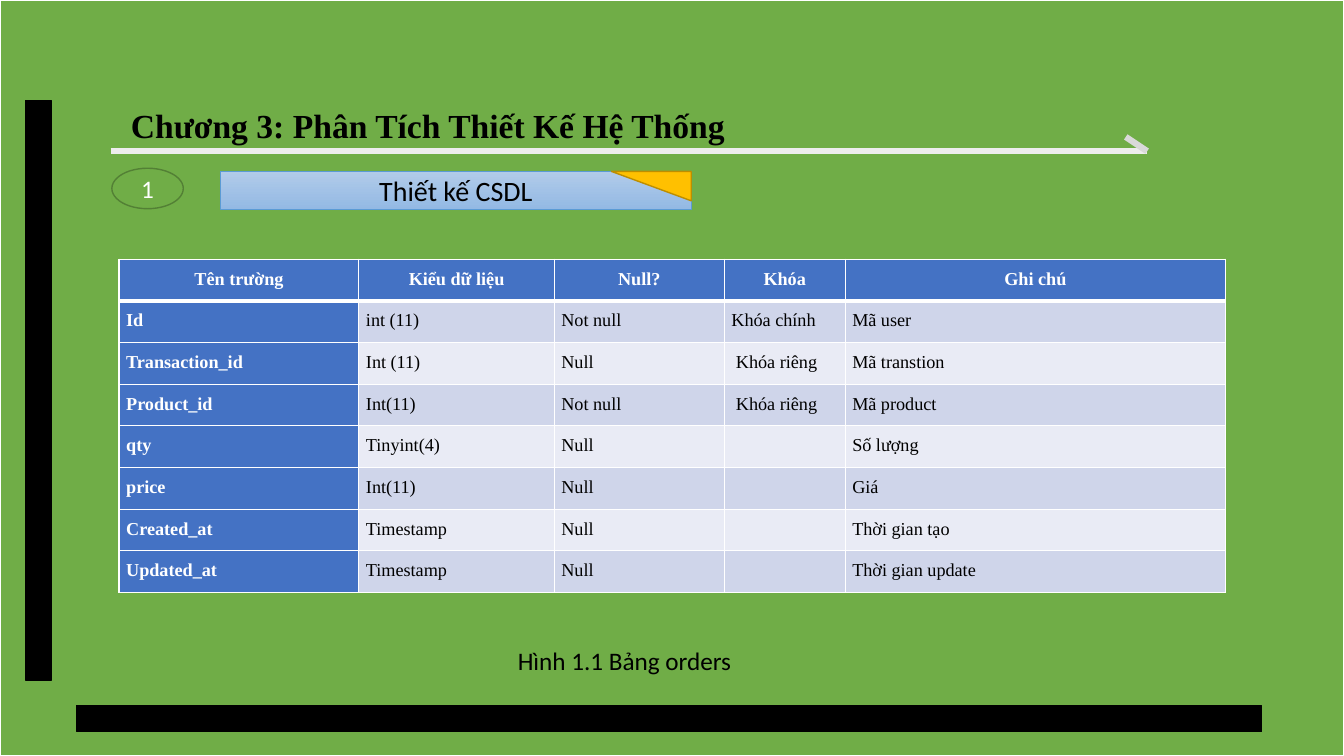
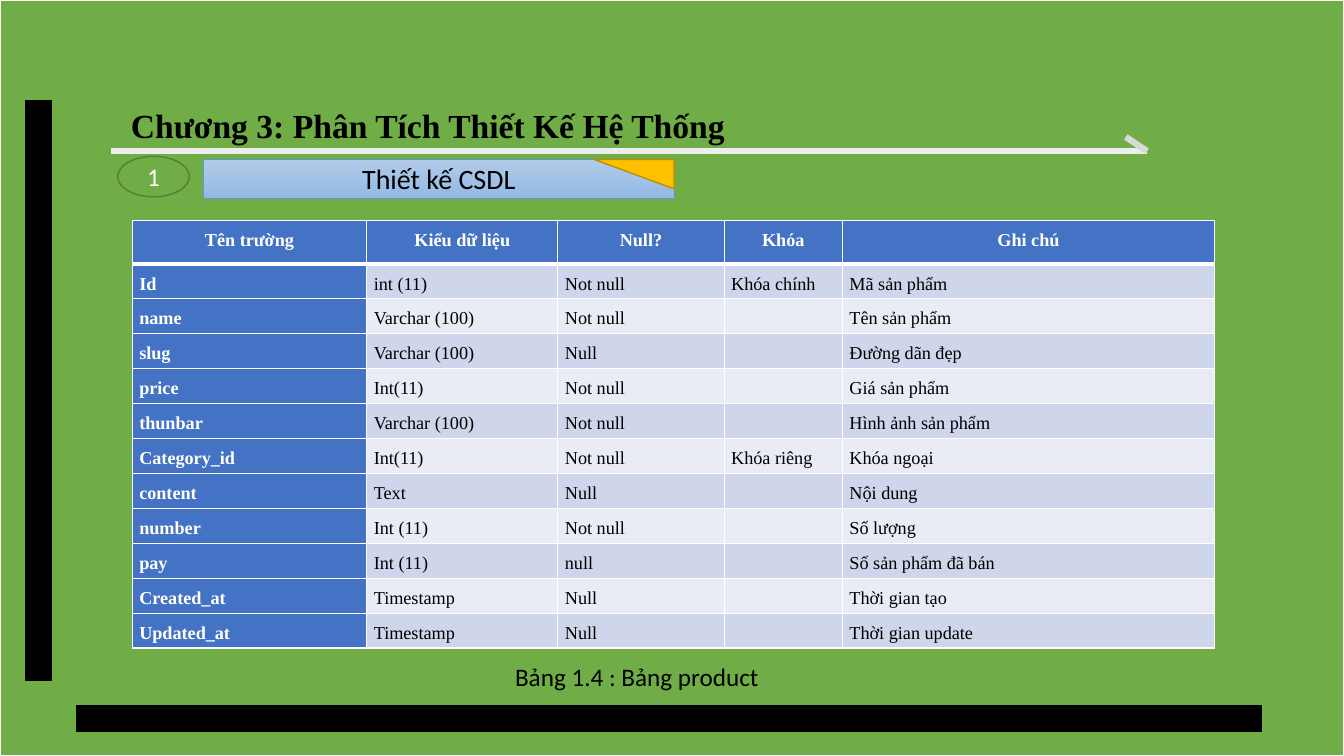
from dataclasses import dataclass

from lxml import etree
from pptx import Presentation
from pptx import util as u
from pptx.dml import color
from pptx.enum import shapes, text
from pptx.oxml import ns


@dataclass(frozen=True)
class Theme:
    # Colours
    ground: str = "70AD47"
    ink: str = "000000"
    paper: str = "FFFFFF"
    rule: str = "EDEDED"
    tick: str = "D9D9D9"
    badge_line: str = "538035"
    banner_top: str = "B1CBE9"
    banner_bottom: str = "93B9E4"
    banner_line: str = "5B9BD5"
    fold: str = "FFC000"
    fold_line: str = "BD8E00"
    header: str = "4472C4"
    odd_row: str = "CFD5EA"
    even_row: str = "E9EBF5"
    # Fonts and type sizes
    serif: str = "Times New Roman"
    sans: str = "Calibri"
    title_size: int = 24
    banner_size: int = 20
    body_size: int = 18
    table_size: int = 13


CHAPTER = "Chương 3: Phân Tích Thiết Kế Hệ Thống"
SECTION = "Thiết kế CSDL"
HEADINGS = ["Tên trường", "Kiểu dữ liệu", "Null?", "Khóa", "Ghi chú"]
COLUMN_SHARES = [6.05, 4.93, 4.29, 3.05, 9.6]

ORDERS = [
    ["Id", "int (11)", "Not null", "Khóa chính", "Mã user"],
    ["Transaction_id", "Int (11)", "Null", " Khóa riêng", "Mã transtion"],
    ["Product_id", "Int(11)", "Not null", " Khóa riêng", "Mã product"],
    ["qty", "Tinyint(4)", "Null", "", "Số lượng"],
    ["price", "Int(11)", "Null", "", "Giá"],
    ["Created_at", "Timestamp", "Null", "", "Thời gian tạo"],
    ["Updated_at", "Timestamp", "Null", "", "Thời gian update"],
]
PRODUCT = [
    ["Id", "int (11)", "Not null", "Khóa chính", "Mã sản phẩm"],
    ["name", "Varchar (100)", "Not null", "", "Tên sản phẩm"],
    ["slug", "Varchar (100)", "Null", "", "Đường dãn đẹp"],
    ["price", "Int(11)", "Not null", "", "Giá sản phẩm"],
    ["thunbar", "Varchar (100)", "Not null", "", "Hình ảnh sản phẩm"],
    ["Category_id", "Int(11)", "Not null", "Khóa riêng", "Khóa ngoại"],
    ["content", "Text", "Null", "", "Nội dung"],
    ["number", "Int (11)", "Not null", "", "Số lượng"],
    ["pay", "Int (11)", "null", "", "Số sản phẩm đã bán"],
    ["Created_at", "Timestamp", "Null", "", "Thời gian tạo"],
    ["Updated_at", "Timestamp", "Null", "", "Thời gian update"],
]


def rgb(value):
    return color.RGBColor.from_string(value)


def lengths(*values):
    return [u.Cm(value) for value in values]


class Builder:
    def __init__(self, theme):
        self.theme = theme
        self.deck = Presentation()
        self.deck.slide_width, self.deck.slide_height = lengths(33.87, 19.05)
        self.page = None

    # Basic elements
    def add_words(self, frame, words, size, tint, font=None, bold=False,
                  align=text.PP_ALIGN.LEFT):
        para = frame.paragraphs[0]
        para.alignment = align
        span = para.add_run()
        span.text = words
        formats = {"name": font or self.theme.sans, "size": u.Pt(size), "bold": bold}
        for name, value in formats.items():
            setattr(span.font, name, value)
        span.font.color.rgb = rgb(tint)
        return para

    def shape(self, kind, place, fill, line, weight=1):
        box = self.page.shapes.add_shape(kind, *lengths(*place))
        box.shadow.inherit = False
        box.fill.solid()
        box.fill.fore_color.rgb = rgb(fill)
        box.line.color.rgb = rgb(line)
        box.line.width = u.Pt(weight)
        box.text_frame.vertical_anchor = text.MSO_ANCHOR.MIDDLE
        return box

    def line(self, ends, tint):
        stroke = self.page.shapes.add_connector(shapes.MSO_CONNECTOR.STRAIGHT, *lengths(*ends))
        stroke.line.color.rgb = rgb(tint)
        stroke.line.width = u.Pt(4.5)
        etree.SubElement(stroke._element.spPr, ns.qn("a:effectLst"))

    def label(self, place, words, size, **style):
        frame = self.page.shapes.add_textbox(*lengths(*place)).text_frame
        frame.word_wrap = True
        frame.auto_size = text.MSO_AUTO_SIZE.SHAPE_TO_FIT_TEXT
        self.add_words(frame, words, size, self.theme.ink, **style)

    # Parts shared by every slide
    def new_page(self):
        theme, rect = self.theme, shapes.MSO_SHAPE.RECTANGLE
        self.page = self.deck.slides.add_slide(self.deck.slide_layouts[6])
        self.shape(rect, (0, 0, 33.87, 19.05), theme.ground, theme.paper, 1.5)
        for band in ((0.64, 2.54, 0.66, 14.6), (1.93, 17.78, 29.87, 0.66)):
            self.shape(rect, band, theme.ink, theme.ink)
        self.line((2.79, 3.81, 28.91, 3.81), theme.rule)
        self.line((28.91, 3.81, 28.37, 3.45), theme.tick)
        self.label((2.82, 2.51, 15.93, 1.27), CHAPTER, theme.title_size,
                   font=theme.serif, bold=True, align=text.PP_ALIGN.CENTER)

    # Numbered badge and banner with a folded corner
    def section(self, number, badge_left, banner_left, top):
        theme, kinds, center = self.theme, shapes.MSO_SHAPE, text.PP_ALIGN.CENTER
        badge = self.shape(kinds.OVAL, (badge_left, top, 1.8, 1.02),
                           theme.ground, theme.badge_line)
        self.add_words(badge.text_frame, number, theme.body_size, theme.paper, align=center)

        width, banner_top = 11.86, top + 0.08
        banner = self.shape(kinds.RECTANGLE, (banner_left, banner_top, width, 0.97),
                            theme.banner_top, theme.banner_line, 0.5)
        banner.fill.gradient()
        banner.fill.gradient_angle = 270
        for stop, tint in zip(banner.fill.gradient_stops, (theme.banner_top, theme.banner_bottom)):
            stop.color.rgb = rgb(tint)
        self.add_words(banner.text_frame, SECTION, theme.banner_size, theme.ink, align=center)

        fold_width = 2.01
        fold = self.shape(kinds.RIGHT_TRIANGLE,
                          (banner_left + width - fold_width, banner_top, fold_width, 0.74),
                          theme.fold, theme.fold_line)
        fold.rotation = 180

    # Table of database fields
    def borders(self, cell, top, bottom):
        properties = cell._tc.get_or_add_tcPr()
        weights = {"lnL": 1, "lnR": 1, "lnT": top, "lnB": bottom}
        for index, (side, weight) in enumerate(weights.items()):
            edge = etree.Element(ns.qn(f"a:{side}"), w=str(u.Pt(weight)))
            fill = etree.SubElement(edge, ns.qn("a:solidFill"))
            etree.SubElement(fill, ns.qn("a:srgbClr"), val=self.theme.paper)
            properties.insert(index, edge)

    def cell(self, cell, words, row, column):
        theme = self.theme
        heading = row == 0 or column == 0
        margins = {"margin_left": 0.18, "margin_right": 0.18, "margin_top": 0, "margin_bottom": 0}
        for name, value in margins.items():
            setattr(cell, name, u.Cm(value))
        cell.fill.solid()
        stripe = theme.odd_row if row % 2 else theme.even_row
        cell.fill.fore_color.rgb = rgb(theme.header if heading else stripe)
        self.borders(cell, top=3 if row == 1 else 1, bottom=3 if row == 0 else 1)
        if words:
            para = self.add_words(cell.text_frame, words, theme.table_size,
                                  theme.paper if heading else theme.ink, theme.serif, heading,
                                  text.PP_ALIGN.LEFT if row else text.PP_ALIGN.CENTER)
            para.line_spacing = 1.5

    def table(self, place, records, header_height, row_height):
        left, top, width = place
        rows = [HEADINGS] + records
        height = header_height + row_height * len(records)
        grid = self.page.shapes.add_table(len(rows), len(HEADINGS),
                                          *lengths(left, top, width, height)).table
        grid.first_col = True
        for column, share in zip(grid.columns, COLUMN_SHARES):
            column.width = u.Cm(width * share / sum(COLUMN_SHARES))
        for index, words in enumerate(rows):
            grid.rows[index].height = u.Cm(row_height if index else header_height)
            for column, word in enumerate(words):
                self.cell(grid.cell(index, column), word, index, column)


def main():
    theme = Theme()
    builder = Builder(theme)

    # Orders table
    builder.new_page()
    builder.section("1", badge_left=2.82, banner_left=5.56, top=4.24)
    builder.table((3, 6.53, 27.89), ORDERS, header_height=1.05, row_height=1.05)
    builder.label((12.8, 16.13, 6.22, 1.02), "Hình 1.1 Bảng orders", theme.body_size)

    # Product table
    builder.new_page()
    builder.section("1", badge_left=2.97, banner_left=5.13, top=3.94)
    builder.table((3.33, 5.56, 27.28), PRODUCT, header_height=1.09, row_height=0.88)
    builder.label((12.73, 16.54, 8.53, 1.02), "Bảng 1.4 : Bảng product", theme.body_size)

    builder.deck.save("out.pptx")


if __name__ == "__main__":
    main()
